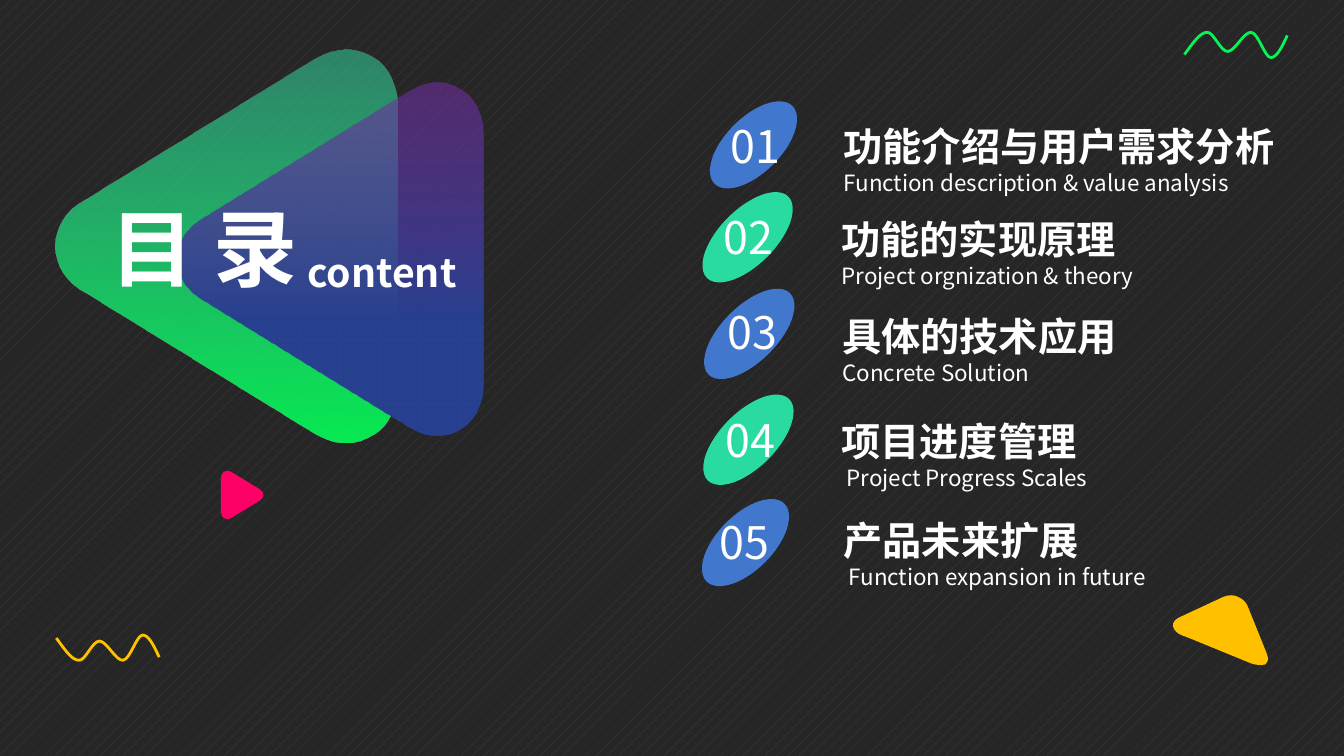
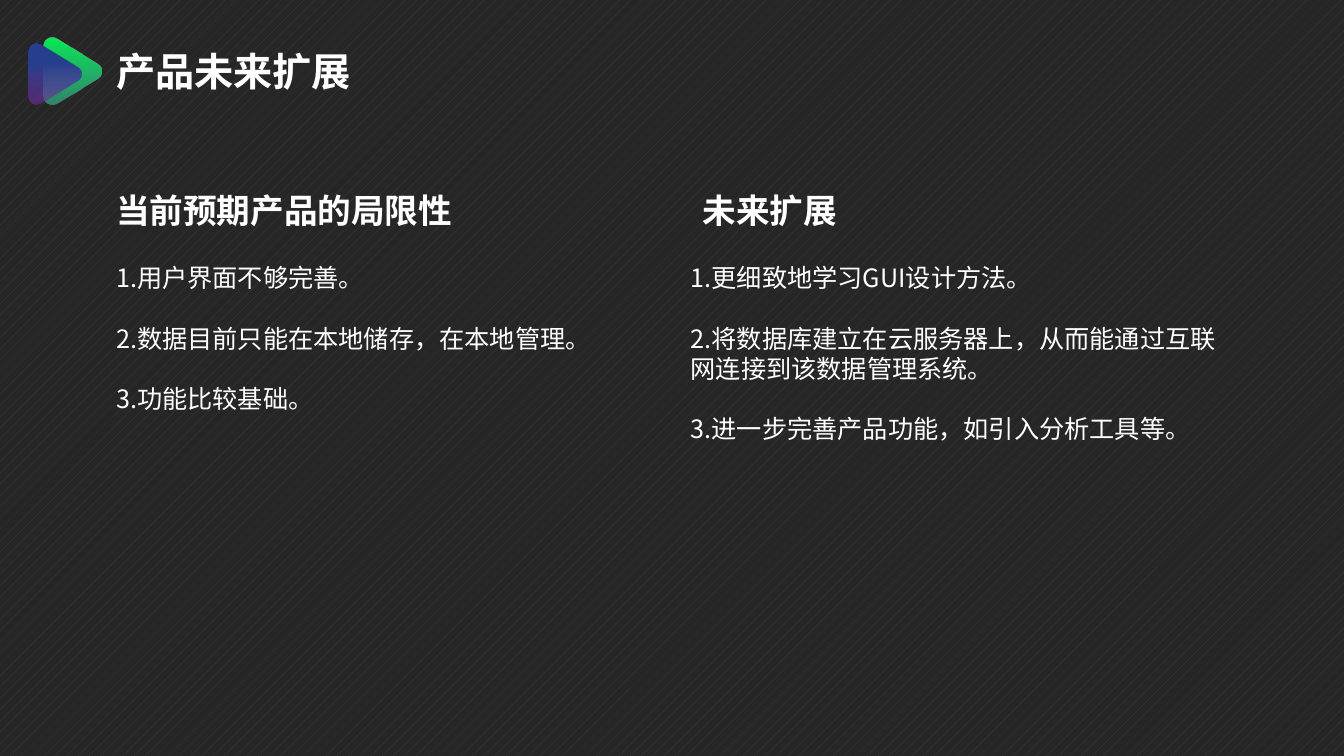
from dataclasses import dataclass

from lxml import etree
from pptx import Presentation
from pptx.dml.color import RGBColor
from pptx.enum.dml import MSO_PATTERN
from pptx.enum.shapes import MSO_SHAPE
from pptx.enum.text import MSO_AUTO_SIZE, PP_ALIGN
from pptx.oxml.ns import qn
from pptx.util import Emu, Inches, Pt

OVAL = MSO_SHAPE.OVAL
DOTS = MSO_PATTERN.PERCENT_10
GROW = MSO_AUTO_SIZE.SHAPE_TO_FIT_TEXT
LEFT, CENTER = PP_ALIGN.LEFT, PP_ALIGN.CENTER

FONT = "Noto Sans CJK SC"
COLORS = {
    "dark": "262626", "dots": "404040", "white": "FFFFFF",
    "amber": "FFC000", "pink": "FF0066", "lime": "07F356",
    "blue": "4277CE", "mint": "29DBA0",
    "neon": "07F757", "sea": "36DEA6", "navy": "27408F", "violet": "7030A0",
}
# Gradients: (position %, colour, opacity %)
GREEN_FADE = ((0, "neon", 94), (100, "sea", 51))
VIOLET_FADE = ((31, "navy", 100), (100, "violet", 58))

# Grid: 32 columns by 18 rows of square cells
SLIDE_W, SLIDE_H = Inches(13.333), Inches(7.5)
CELL = SLIDE_H / 18

# Outlines in shares of their box: a start point, then lines (2 numbers)
# and Bezier curves (6 numbers)
PLAY_LEFT = ((0, 0.5), (0, 0.55, 0.03, 0.59, 0.09, 0.62), (0.76, 0.98),
             (0.82, 1.01, 0.88, 1.01, 0.93, 0.98),
             (0.97, 0.96, 1, 0.91, 1, 0.85), (1, 0.15),
             (1, 0.09, 0.97, 0.04, 0.93, 0.02),
             (0.88, -0.01, 0.82, -0.01, 0.76, 0.02), (0.09, 0.38),
             (0.03, 0.41, 0, 0.45, 0, 0.5))
PEBBLE = ((0.68, 0.03), (0.73, 0.06, 0.76, 0.1, 0.78, 0.16), (0.98, 0.84),
          (1, 0.91, 0.99, 0.96, 0.96, 0.99), (0.92, 1, 0.86, 1, 0.81, 0.97),
          (0.15, 0.6), (0.08, 0.57, 0.04, 0.54, 0.02, 0.49),
          (-0.01, 0.43, 0.01, 0.37, 0.06, 0.33), (0.53, 0.03),
          (0.58, 0, 0.64, 0, 0.68, 0.03))
WAVE = ((0, 0.88), (0.08, 0.44, 0.15, 0, 0.22, 0),
        (0.28, -0.04, 0.35, 0.76, 0.42, 0.76),
        (0.49, 0.76, 0.58, -0.04, 0.65, 0),
        (0.72, 0.04, 0.78, 1, 0.84, 1), (0.9, 1, 0.95, 0.56, 1, 0.12))


@dataclass
class Box:
    """Place and size in grid cells."""
    col: float
    row: float
    cols: float
    rows: float

    def emu(self) -> list[Emu]:
        return [cells(v) for v in (self.col, self.row, self.cols, self.rows)]


@dataclass
class Run:
    text: str
    size: float
    bold: bool = False


@dataclass
class Para:
    runs: tuple[Run, ...]
    align: PP_ALIGN = LEFT
    before: float = 0
    indent: float = 0


@dataclass
class Entry:
    """One line of the contents list; a flowing subtitle wraps after the title."""
    title: str
    subtitle: str
    color: str
    col: float
    row: float
    oval: tuple[float, float]
    number: tuple[float, float]
    length: float = 2.74
    indent: float = 0
    flowing: bool = False


@dataclass
class Column:
    """A heading with a numbered list below it."""
    heading: str
    heading_col: float
    col: float
    cols: float
    rows: float
    items: tuple[str, ...]


ENTRIES = (
    Entry("功能介绍与用户需求分析", "Function description & value analysis", "blue",
          19.85, 2.8, (17.94, 3.45), (17.99, 2.71), 2.62, flowing=True),
    Entry("功能的实现原理", "Project orgnization & theory", "mint",
          19.8, 5, (17.8, 5.65), (17.82, 4.87)),
    Entry("具体的技术应用", "Concrete Solution", "blue",
          19.82, 7.31, (17.84, 7.95), (17.92, 7.14)),
    Entry("项目进度管理", "Project Progress Scales", "mint",
          19.8, 9.82, (17.82, 10.47), (17.86, 9.72), indent=0.12),
    Entry("产品未来扩展", "Function expansion in future", "blue",
          19.85, 12.18, (17.75, 12.92), (17.72, 12.14), 2.62, 0.12),
)
COLUMNS = (
    Column("当前预期产品的局限性", 2.53, 2.53, 12.48, 3.89,
           ("1.用户界面不够完善。", "2.数据目前只能在本地储存，在本地管理。",
            "3.功能比较基础。")),
    Column("未来扩展", 16.49, 16.21, 13.25, 4.61,
           ("1.更细致地学习GUI设计方法。",
            "2.将数据库建立在云服务器上，从而能通过互联网连接到该数据管理系统。",
            "3.进一步完善产品功能，如引入分析工具等。")),
)


def cells(n: float) -> Emu:
    return Emu(round(n * CELL))


def rgb(name: str) -> RGBColor:
    return RGBColor.from_string(COLORS[name])


def flipped(outline, axis: int):
    """Mirror an outline: axis 0 swaps left and right, 1 top and bottom."""
    return tuple(tuple(1 - v if i % 2 == axis else v for i, v in enumerate(seg))
                 for seg in outline)


def add_outline(s, box: Box, outline, closed: bool = True):
    segs = [[(cells(box.col + x * box.cols), cells(box.row + y * box.rows))
             for x, y in zip(seg[::2], seg[1::2])] for seg in outline]
    fb = s.shapes.build_freeform(*segs[0][0], scale=1.0)
    fb.add_line_segments([seg[-1] for seg in segs[1:]], close=closed)
    sp = fb.convert_to_shape()
    sp.shadow.inherit = False
    # Bend the lines that have control points
    for ln, seg in zip(list(sp._element.iter(qn("a:lnTo"))), segs[1:]):
        if len(seg) == 1:
            continue
        curve = etree.Element(qn("a:cubicBezTo"))
        for x, y in seg:
            pt = etree.SubElement(curve, qn("a:pt"))
            pt.set("x", str(x - sp.left))
            pt.set("y", str(y - sp.top))
        ln.getparent().replace(ln, curve)
    return sp


def fill_solid(sp, color: str) -> None:
    sp.fill.solid()
    sp.fill.fore_color.rgb = rgb(color)
    sp.line.fill.background()


def fill_fade(sp, fade, angle: float) -> None:
    sp.fill.gradient()
    sp.fill.gradient_angle = angle
    for stop, (pos, color, _) in zip(sp.fill.gradient_stops, fade):
        stop.position = pos / 100
        stop.color.rgb = rgb(color)
    clrs = sp._element.spPr.findall(".//" + qn("a:gs") + "/" + qn("a:srgbClr"))
    for clr, (_, _, opacity) in zip(clrs, fade):
        if opacity < 100:
            etree.SubElement(clr, qn("a:alpha")).set("val", str(opacity * 1000))
    sp.line.fill.background()


def add_play(s, box: Box, points_left: bool = False):
    """Rounded triangle pointing right, or left."""
    return add_outline(s, box, PLAY_LEFT if points_left else flipped(PLAY_LEFT, 0))


def add_emblem(s, green: Box, violet: Box, points_left: bool = False) -> None:
    """Two overlapping translucent triangles."""
    for box, fade in ((green, GREEN_FADE), (violet, VIOLET_FADE)):
        fill_fade(add_play(s, box, points_left), fade, 90 if points_left else 270)


def add_wave(s, box: Box, color: str, flip: bool = False) -> None:
    sp = add_outline(s, box, flipped(WAVE, 1) if flip else WAVE, closed=False)
    sp.fill.background()
    sp.line.color.rgb = rgb(color)
    sp.line.width = Pt(2)


def add_text(s, box: Box, *paras: Para, wrap: bool = True) -> None:
    tf = s.shapes.add_textbox(*box.emu()).text_frame
    tf.word_wrap = wrap
    tf.auto_size = GROW
    for i, para in enumerate(paras):
        p = tf.add_paragraph() if i else tf.paragraphs[0]
        p.alignment = para.align
        if para.before:
            p.space_before = Pt(para.before)
        if para.indent:
            p._p.get_or_add_pPr().set("marL", str(cells(para.indent)))
        for run in para.runs:
            r = p.add_run()
            r.text = run.text
            r.font.name = FONT
            r.font.size = Pt(run.size)
            r.font.bold = run.bold
            r.font.color.rgb = rgb("white")
            ea = etree.SubElement(r._r.get_or_add_rPr(), qn("a:ea"))
            ea.set("typeface", FONT)


def add_line(s, box: Box, text: str, size: float, bold: bool = True,
             align: PP_ALIGN = LEFT, wrap: bool = True) -> None:
    """Text box with a single run."""
    add_text(s, box, Para((Run(text, size, bold),), align), wrap=wrap)


def add_entry(s, n: int, e: Entry) -> None:
    title, subtitle = Run(e.title, 28, True), Run(e.subtitle, 16)
    paras = ((Para((title, subtitle)),) if e.flowing
             else (Para((title,)), Para((subtitle,), indent=e.indent)))
    add_text(s, Box(e.col, e.row, 10.75, 2.02), *paras)
    cx, cy = e.oval
    box = Box(cx - 0.66, cy - e.length / 2, 1.32, e.length)
    oval = s.shapes.add_shape(OVAL, *box.emu())
    oval.rotation = 45
    oval.shadow.inherit = False
    fill_solid(oval, e.color)
    cx, row = e.number
    add_line(s, Box(cx - 1.46, row, 2.92, 1.54), f"{n:02d}", 32, False, CENTER)


def add_slide(prs):
    s = prs.slides.add_slide(prs.slide_layouts[6])
    fill = s.background.fill
    fill.patterned()
    fill.pattern = DOTS
    fill.fore_color.rgb = rgb("dots")
    fill.back_color.rgb = rgb("dark")
    return s


def contents_slide(prs) -> None:
    s = add_slide(prs)
    # Decoration
    fill_solid(add_outline(s, Box(27.91, 14.16, 2.3, 1.68), PEBBLE), "amber")
    fill_solid(add_play(s, Box(5.26, 11.21, 1.01, 1.15)), "pink")
    add_wave(s, Box(28.2, 0.77, 2.45, 0.6), "lime")
    add_wave(s, Box(1.34, 15.12, 2.45, 0.6), "amber", flip=True)
    # Title on the emblem
    add_emblem(s, Box(1.32, 1.21, 8.14, 9.31), Box(4.22, 2, 7.3, 8.35), True)
    add_line(s, Box(2.28, 4.56, 5.14, 2.66), "目 录", 60, align=CENTER, wrap=False)
    add_line(s, Box(7.03, 5.79, 4.13, 1.37), "content", 28, align=CENTER, wrap=False)
    # Contents list
    for n, entry in enumerate(ENTRIES, 1):
        add_entry(s, n, entry)


def outlook_slide(prs) -> None:
    s = add_slide(prs)
    # Title
    add_emblem(s, Box(1.03, 0.89, 1.39, 1.6), Box(0.68, 1.03, 1.25, 1.44))
    add_line(s, Box(2.53, 1.01, 9.67, 1.37), "产品未来扩展", 28)
    # Two columns
    for c in COLUMNS:
        add_text(s, Box(c.col, 6.13, c.cols, c.rows),
                 *(Para((Run(t, 18),), before=21.6 if i else 0)
                   for i, t in enumerate(c.items)))
        add_line(s, Box(c.heading_col, 4.41, 9.22, 1.2), c.heading, 24)


def main() -> None:
    prs = Presentation()
    prs.slide_width, prs.slide_height = SLIDE_W, SLIDE_H
    contents_slide(prs)
    outlook_slide(prs)
    prs.save("out.pptx")


if __name__ == "__main__":
    main()
